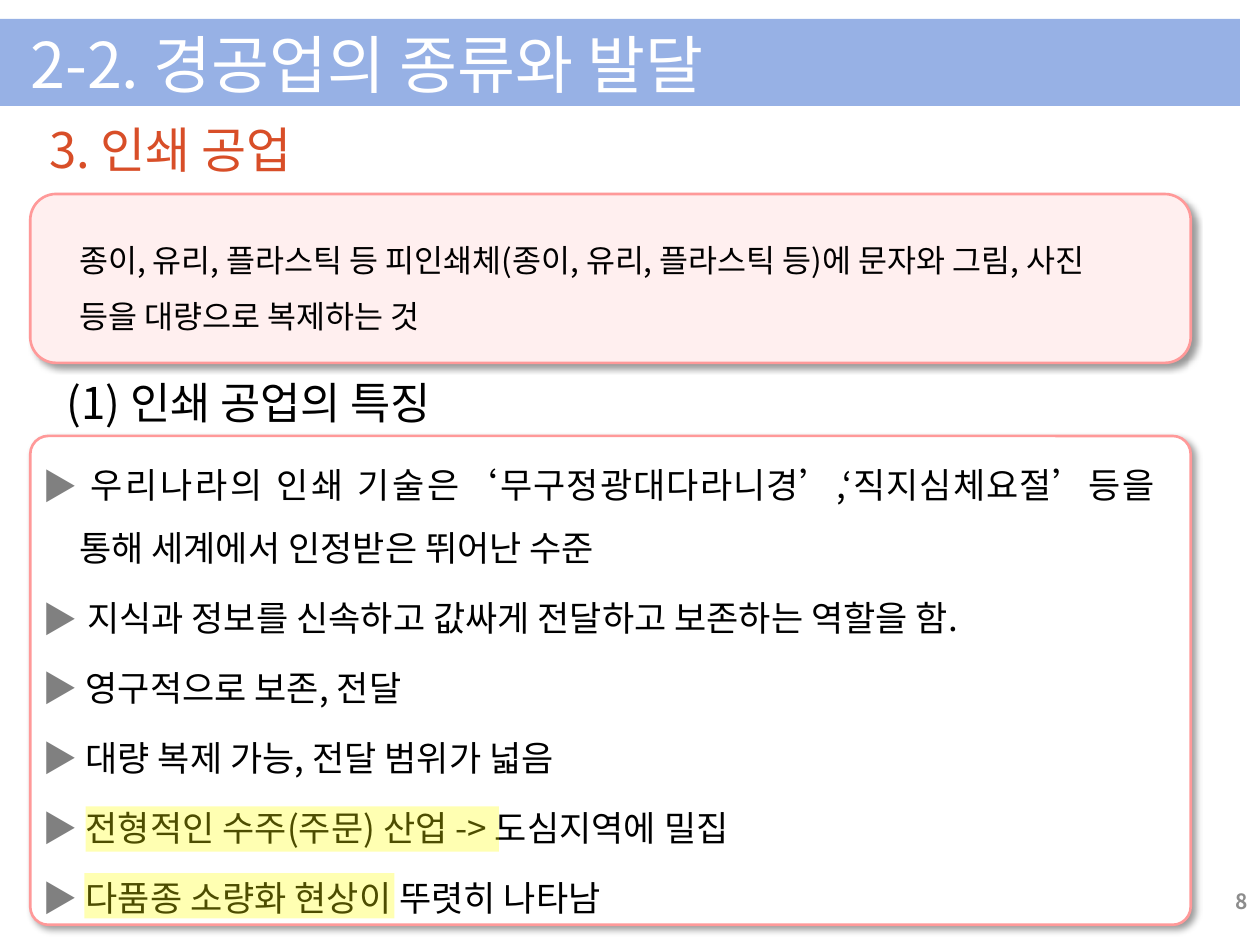
from pptx import Presentation, util as u
from pptx.dml.color import RGBColor
from pptx.enum import shapes, text
from pptx.oxml import parse_xml
from pptx.oxml.ns import nsdecls, qn

FONT = "Noto Sans CJK KR"
BLACK, GRAY = "000000", "808080"
LEFT, RIGHT, JUSTIFY = text.PP_ALIGN.LEFT, text.PP_ALIGN.RIGHT, text.PP_ALIGN.JUSTIFY

# Content: each paragraph is a list of (text, color) spans
TITLE = "2-2. 경공업의 종류와 발달"
SECTION = "3. 인쇄 공업"
SUBSECTION = "(1) 인쇄 공업의 특징"
DEFINITION = ("종이, 유리, 플라스틱 등 피인쇄체(종이, 유리, 플라스틱 등)에 문자와 그림, "
              "사진 등을 대량으로 복제하는 것")
BULLETED = [
    [(" 우리나라의 인쇄 기술은‘", BLACK),
     ("무구정광대다라니경’,‘직지심체요절’등을 통해 세계에서 인정받은 뛰어난 수준 ", BLACK)],
    [(" 지식과 정보를 신속하고 값싸게 전달하고 보존하는 역할을 함.", BLACK)],
]
MARKED = [
    [("▶", GRAY), (" 영구적으로 보존, 전달", BLACK)],
    [("▶ ", GRAY), ("대량 복제 가능, 전달 범위가 넓음 ", BLACK)],
    [("▶ ", GRAY), ("전형적인 수주(주문) 산업 -> 도심지역에 밀집", BLACK)],
    [("▶ ", GRAY), ("다품종 소량화 현상이 뚜렷히 나타남", BLACK)],
]
PAGE_NUMBER = "8"

# Places: left, top, width, height
BANNER = (0, 0.15, 9.84, 0.69)
PANELS = [((0.24, 1.54, 9.21, 1.34), 0.153, "FFEFEF"),
          ((0.24, 3.46, 9.21, 3.88), 0.037, "FFFFFF")]
HIGHLIGHTS = [(0.68, 6.4, 3.28, 0.36), (0.67, 6.93, 2.46, 0.36)]


def color(value):
    return RGBColor.from_string(value)


def inches(values):
    return [u.Inches(value) for value in values]


def add_block(page, kind, place, fill):
    block = page.shapes.add_shape(kind, *inches(place))
    block.shadow.inherit = False
    block.fill.solid()
    block.fill.fore_color.rgb = color(fill)
    block.line.fill.background()
    return block


def add_panel(page, place, corner, fill):
    panel = add_block(page, shapes.MSO_SHAPE.ROUNDED_RECTANGLE, place, fill)
    panel.adjustments[0] = corner
    panel.line.color.rgb = color("FF9999")
    panel.line.width = u.Pt(1.5)
    effects = panel.element.spPr.find(qn("a:effectLst"))
    effects.append(parse_xml(
        f'<a:outerShdw {nsdecls("a")} blurRad="{u.Pt(4)}" dist="{u.Pt(3)}" dir="2700000" '
        'algn="tl" rotWithShape="0"><a:srgbClr val="000000"><a:alpha val="40000"/>'
        '</a:srgbClr></a:outerShdw>'))


def add_highlight(page, place):
    mark = add_block(page, shapes.MSO_SHAPE.RECTANGLE, place, "FFFF00")
    shade = mark.element.spPr.find(qn("a:solidFill"))[0]
    shade.append(parse_xml(f'<a:alpha {nsdecls("a")} val="30000"/>'))


def set_frame(box, margins=(0.1, 0.05, 0.1, 0.05), anchor=text.MSO_ANCHOR.TOP):
    formats = dict(zip(("margin_left", "margin_top", "margin_right", "margin_bottom"),
                       inches(margins)))
    formats.update(word_wrap=True, auto_size=text.MSO_AUTO_SIZE.NONE, vertical_anchor=anchor)
    for name, value in formats.items():
        setattr(box.text_frame, name, value)


def write(para, spans, size, align=LEFT, spacing=1.0, before=0.2, indent=(0, 0),
          bold=False, bullet=False):
    formats = {"alignment": align, "line_spacing": spacing,
               "space_before": u.Pt(size * before)}
    for name, value in formats.items():
        setattr(para, name, value)
    props = para._p.get_or_add_pPr()
    for name, value in zip(("marL", "indent"), inches(indent)):
        props.set(name, str(int(value)))
    if bullet:
        for item in (f'<a:buClr {nsdecls("a")}><a:srgbClr val="{GRAY}"/></a:buClr>',
                     f'<a:buFont {nsdecls("a")} typeface="{FONT}"/>',
                     f'<a:buChar {nsdecls("a")} char="▶"/>'):
            props.append(parse_xml(item))
    for words, shade in spans:
        span = para.add_run()
        span.text = words
        for name, value in {"name": FONT, "size": u.Pt(size), "bold": bold}.items():
            setattr(span.font, name, value)
        span.font.color.rgb = color(shade)
        span.font._element.append(parse_xml(f'<a:ea {nsdecls("a")} typeface="{FONT}"/>'))


def add_text(page, place, words, size, shade=BLACK, frame=None, **formats):
    box = page.shapes.add_textbox(*inches(place))
    set_frame(box, **(frame or {}))
    write(box.text_frame.paragraphs[0], [(words, shade)], size, **formats)


def add_features(page):
    box = page.shapes.add_textbox(*inches((0.24, 3.46, 9.02, 3.89)))
    set_frame(box)
    for number, spans in enumerate(BULLETED + MARKED):
        para = box.text_frame.add_paragraph() if number else box.text_frame.paragraphs[0]
        bullet = number < len(BULLETED)
        write(para, spans, 20, JUSTIFY, 1.5, bullet=bullet,
              indent=(0.29, -0.29) if bullet else (0, 0))
    # The opening words are slightly spread
    box.text_frame.paragraphs[0].runs[0].font._element.set("spc", "100")


def main():
    deck = Presentation()
    deck.slide_width, deck.slide_height = inches((10, 7.5))
    page = deck.slides.add_slide(deck.slide_layouts[5])

    # Banner behind the title
    banner = add_block(page, shapes.MSO_SHAPE.RECTANGLE, BANNER, "97B1E5")
    page.shapes.title.element.addprevious(banner.element)
    title = page.shapes.title
    title.left, title.top, title.width, title.height = inches((0, 0.01, 8.07, 0.79))
    set_frame(title, (0.24, 0.19, 0, 0))
    write(title.text_frame.paragraphs[0], [(TITLE, "FFFFFF")], 36, indent=(0.49, -0.49))

    # Panels, headings and body text
    for panel in PANELS:
        add_panel(page, *panel)
    add_text(page, (0, 0.95, 9.49, 0.47), SECTION, 28, "D84E28",
             {"margins": (0, 0, 0, 0)}, indent=(0.29, 0.1))
    add_text(page, (0.43, 2.93, 8.98, 0.52), SUBSECTION, 25, indent=(0.4, -0.4))
    add_text(page, (0.53, 1.71, 8.65, 1.01), DEFINITION, 18, spacing=1.5, before=0)
    add_features(page)

    # Page number and highlighter marks
    add_text(page, (7.67, 6.95, 2.33, 0.4), PAGE_NUMBER, 12, "8C8C8C",
             {"anchor": text.MSO_ANCHOR.MIDDLE}, align=RIGHT, before=0, bold=True)
    for place in HIGHLIGHTS:
        add_highlight(page, place)
    deck.save("out.pptx")


if __name__ == "__main__":
    main()
